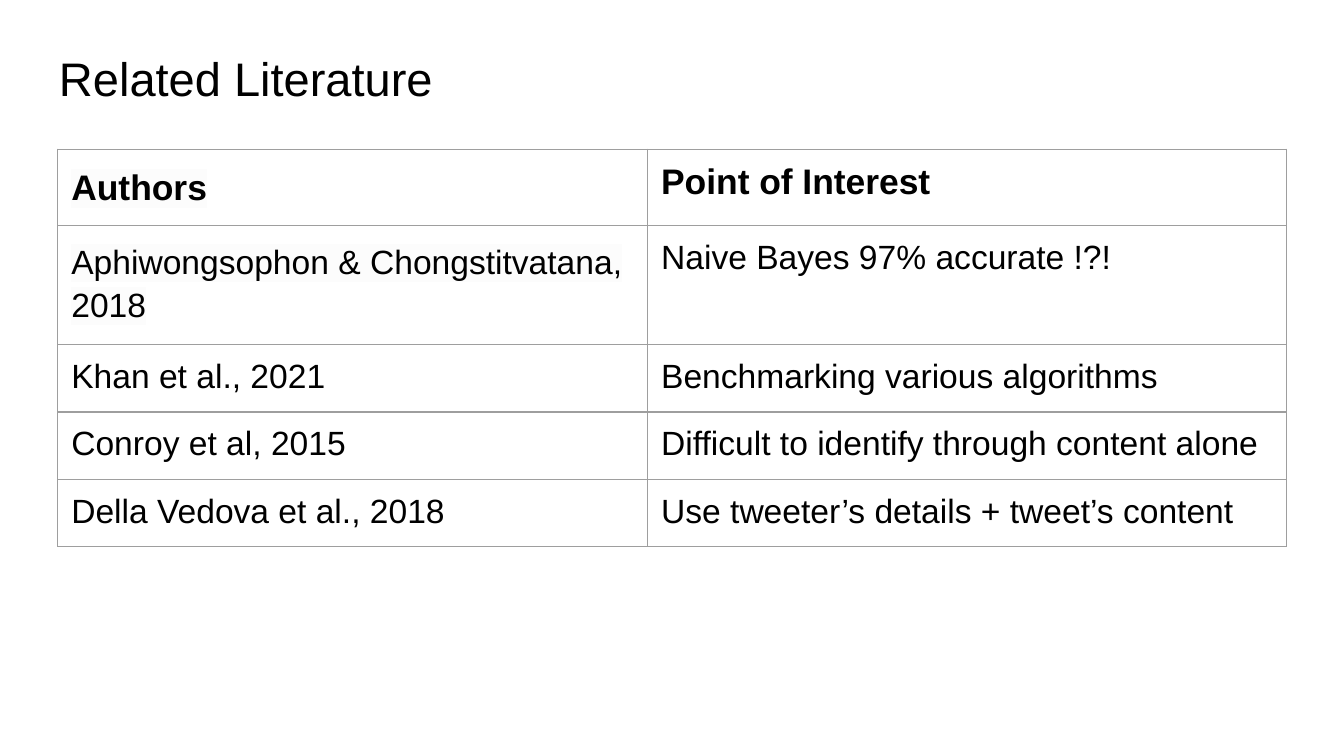
from lxml.etree import SubElement
from pptx import Presentation
from pptx.dml.color import RGBColor
from pptx.enum.text import MSO_ANCHOR
from pptx.oxml.ns import qn
from pptx.util import Pt

BLACK = RGBColor(0x00, 0x00, 0x00)
GREY = RGBColor(0x9E, 0x9E, 0x9E)
PALE = RGBColor(0xFC, 0xFC, 0xFC)
INSET = Pt(7.2)
FRAME = {"margin_left": INSET, "margin_top": INSET,
         "margin_right": INSET, "margin_bottom": INSET}
TITLE = {"name": "Arial", "size": Pt(25.2)}
HEAD = {"name": "Arial", "size": Pt(19), "bold": True}
BODY = {"name": "Arial", "size": Pt(18), "bold": False}
ROWS = [
    ("Authors", "Point of Interest"),
    ("Aphiwongsophon & Chongstitvatana, 2018", "Naive Bayes 97% accurate !?!"),
    ("Khan et al., 2021", "Benchmarking various algorithms"),
    ("Conroy et al, 2015", "Difficult to identify through content alone"),
    ("Della Vedova et al., 2018", "Use tweeter’s details + tweet’s content"),
]
PASTED_ROWS = 2


def apply(obj, values):
    """Set each attribute named in values."""
    for name, value in values.items():
        setattr(obj, name, value)


def write(p, text, font):
    """Add a black run to a paragraph."""
    r = p.add_run()
    r.text = text
    apply(r.font, font)
    r.font.color.rgb = BLACK
    return r


def highlight(r, color):
    """Put a highlight colour behind a run."""
    rPr = r.font._element
    mark = SubElement(rPr, qn("a:highlight"))
    SubElement(mark, qn("a:srgbClr"), val=str(color))
    rPr.find(qn("a:solidFill")).addnext(mark)


def outline(cell, color, width):
    """Draw all four borders of a cell."""
    tcPr = cell._tc.get_or_add_tcPr()
    for i, side in enumerate(("lnL", "lnR", "lnT", "lnB")):
        ln = SubElement(tcPr, qn(f"a:{side}"), w=str(width))
        fill = SubElement(ln, qn("a:solidFill"))
        SubElement(fill, qn("a:srgbClr"), val=str(color))
        tcPr.insert(i, ln)


def add_title(s, left, top, width, height):
    """Place the slide title in its box."""
    tf = s.shapes.add_textbox(left, top, width, height).text_frame
    apply(tf, FRAME | {"word_wrap": True, "vertical_anchor": MSO_ANCHOR.BOTTOM})
    write(tf.paragraphs[0], "Related Literature", TITLE)


def add_literature(s, left, top, widths, row_height):
    """Place the table of authors and findings."""
    table = s.shapes.add_table(len(ROWS), len(widths), left, top,
                               sum(widths), row_height * len(ROWS)).table
    apply(table, {"first_row": False, "horz_banding": False})
    for column, width in zip(table.columns, widths):
        column.width = width
    for i, row in enumerate(ROWS):
        for j, text in enumerate(row):
            cell = table.cell(i, j)
            apply(cell, FRAME)
            cell.fill.background()
            outline(cell, GREY, Pt(0.75))
            p = cell.text_frame.paragraphs[0]
            r = write(p, text, BODY if i else HEAD)
            if j == 0 and i < PASTED_ROWS:
                p.line_spacing = 1.15
                highlight(r, PALE)


def main():
    """Build and save the slide."""
    prs = Presentation()
    apply(prs, {"slide_width": Pt(720), "slide_height": Pt(405)})
    s = prs.slides.add_slide(prs.slide_layouts[6])
    add_title(s, Pt(24.5), Pt(19), Pt(671), Pt(45))
    add_literature(s, Pt(31), Pt(80), (Pt(316), Pt(342)), Pt(30))
    prs.save("out.pptx")


if __name__ == "__main__":
    main()
